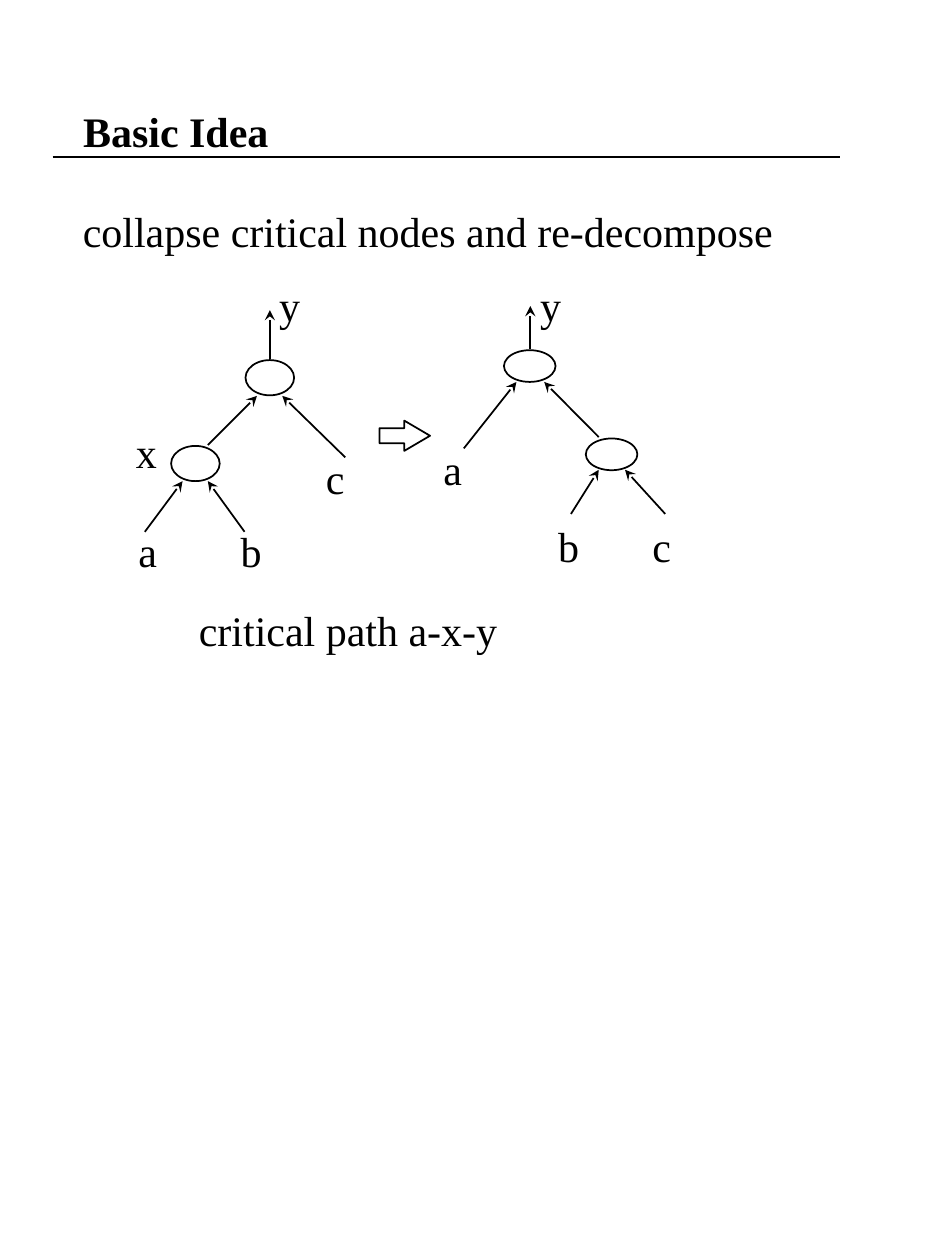
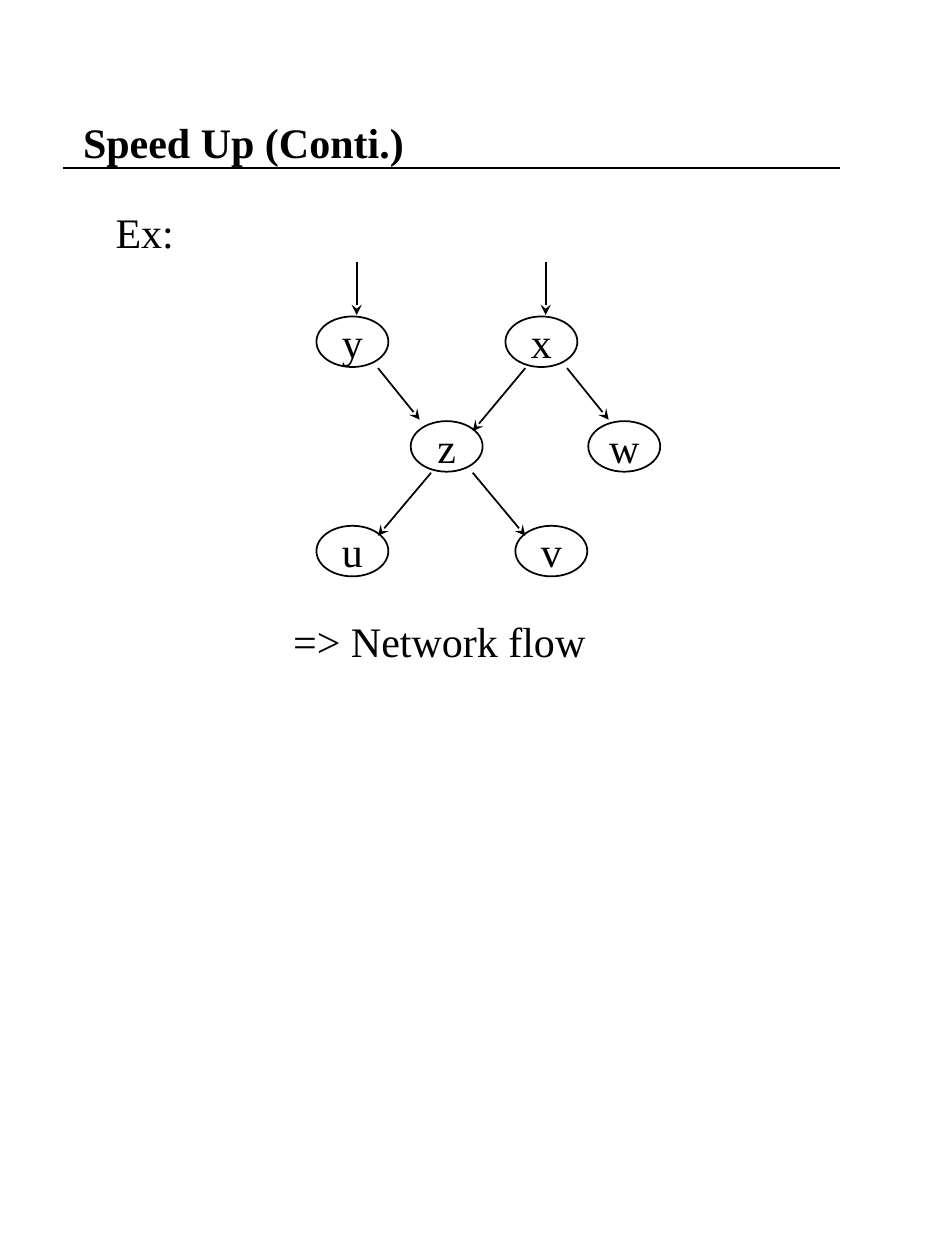
from dataclasses import dataclass

from lxml import etree
from pptx import Presentation
from pptx.dml.color import RGBColor
from pptx.enum.shapes import MSO_CONNECTOR, MSO_SHAPE
from pptx.enum.text import MSO_ANCHOR, MSO_AUTO_SIZE, PP_ALIGN
from pptx.oxml.ns import qn
from pptx.util import Cm, Pt

BLACK = RGBColor(0x00, 0x00, 0x00)
WHITE = RGBColor(0xFF, 0xFF, 0xFF)
FONT = "Times New Roman"
FONT_SIZE = Pt(24)
LINE_WIDTH = Pt(1)
HALF_OPAQUE = "50000"

ELLIPSE, RIGHT_ARROW = MSO_SHAPE.OVAL, MSO_SHAPE.RIGHT_ARROW
STRAIGHT = MSO_CONNECTOR.STRAIGHT
LEFT, CENTER = PP_ALIGN.LEFT, PP_ALIGN.CENTER
TOP, MIDDLE = MSO_ANCHOR.TOP, MSO_ANCHOR.MIDDLE
NO_AUTOSIZE = MSO_AUTO_SIZE.NONE

TITLE_LEFT, TITLE_TOP, TEXT_WIDTH = 1.42, 1.27, 16.18
RULE_RIGHT = 16.93
LABEL_WIDTH, LABEL_HEIGHT = 0.95, 1.27


# All positions and sizes below are in centimetres.
@dataclass(frozen=True)
class Node:
    left: float
    top: float
    width: float
    height: float
    text: str = ""


@dataclass(frozen=True)
class Arrow:
    x1: float
    y1: float
    x2: float
    y2: float


@dataclass(frozen=True)
class Label:
    text: str
    left: float
    top: float
    width: float = LABEL_WIDTH
    height: float = LABEL_HEIGHT
    wrap: bool = False


# Slide 1: the tree before and after re-decomposition
BEFORE_SIZE = (0.98, 0.71)
AFTER_SIZE = (1.04, 0.64)
TREE_NODES = [
    Node(4.95, 7.26, *BEFORE_SIZE),
    Node(3.45, 8.99, *BEFORE_SIZE),
    Node(10.16, 7.06, *AFTER_SIZE),
    Node(11.81, 8.84, *AFTER_SIZE),
]
TREE_ARROWS = [
    Arrow(4.19, 8.97, 5.18, 7.98),
    Arrow(6.96, 9.22, 5.69, 7.98),
    Arrow(5.44, 7.24, 5.44, 6.25),
    Arrow(2.92, 10.72, 3.68, 9.7),
    Arrow(4.93, 10.72, 4.19, 9.7),
    Arrow(10.69, 7.04, 10.69, 6.17),
    Arrow(12.07, 8.81, 10.97, 7.7),
    Arrow(9.35, 9.04, 10.41, 7.7),
    Arrow(11.51, 10.36, 12.07, 9.47),
    Arrow(13.41, 10.36, 12.6, 9.47),
]
TREE_LABELS = [
    Label("collapse critical nodes and re-decompose",
          TITLE_LEFT, 4.01, TEXT_WIDTH, 18.57, wrap=True),
    Label("a", 2.54, 10.46),
    Label("b", 4.6, 10.46),
    Label("c", 6.32, 8.99),
    Label("y", 5.38, 5.51),
    Label("x", 2.49, 8.48),
    Label("a", 8.69, 8.81),
    Label("b", 11, 10.36),
    Label("c", 12.9, 10.36),
    Label("y", 10.64, 5.51),
    Label("critical path a-x-y", 3.76, 12.07, 6.53),
]
STEP_ARROW = Node(7.65, 8.48, 1.02, 0.61)

# Slide 2: the network, with nodes in evenly spaced rows
ROW_TOP, ROW_STEP = 6.38, 2.11
NETWORK_SIZE = (1.45, 1.02)
NETWORK_ROWS = [
    [("y", 6.38), ("x", 10.19)],
    [("z", 8.28), ("w", 11.86)],
    [("u", 6.38), ("v", 10.39)],
]
NETWORK_NODES = [
    Node(left, ROW_TOP + row * ROW_STEP, *NETWORK_SIZE, text)
    for row, cells in enumerate(NETWORK_ROWS)
    for text, left in cells
]
NETWORK_ARROWS = [
    Arrow(7.19, 5.28, 7.19, 6.35),
    Arrow(11, 5.28, 11, 6.35),
    Arrow(7.62, 7.42, 8.46, 8.46),
    Arrow(10.59, 7.42, 9.53, 8.69),
    Arrow(11.43, 7.42, 12.27, 8.46),
    Arrow(8.69, 9.53, 7.62, 10.8),
    Arrow(9.53, 9.53, 10.59, 10.8),
]
NETWORK_LABELS = [
    Label("Ex:", 2.08, 4.04, 1.7),
    Label("=> Network flow", 5.66, 12.29, 6.4),
]


def write(sp, text: str, align=LEFT, anchor=TOP, bold=False, wrap=False) -> None:
    """Put one formatted line of text into a shape."""
    tf = sp.text_frame
    tf.text = text
    tf.word_wrap = wrap
    tf.auto_size = NO_AUTOSIZE
    tf.vertical_anchor = anchor
    p = tf.paragraphs[0]
    p.alignment = align
    font = p.runs[0].font
    font.name, font.size, font.bold = FONT, FONT_SIZE, bold
    font.color.rgb = BLACK


def add_line(s, line: Arrow, pointed: bool = True) -> None:
    cx = s.shapes.add_connector(
        STRAIGHT, Cm(line.x1), Cm(line.y1), Cm(line.x2), Cm(line.y2))
    cx.line.color.rgb = BLACK
    cx.line.width = LINE_WIDTH
    if pointed:
        etree.SubElement(cx.line._get_or_add_ln(), qn("a:tailEnd"), type="stealth")
    etree.SubElement(cx.element.spPr, qn("a:effectLst"))


def add_node(s, node: Node, kind=ELLIPSE):
    sp = s.shapes.add_shape(
        kind, Cm(node.left), Cm(node.top), Cm(node.width), Cm(node.height))
    sp.shadow.inherit = False
    sp.fill.solid()
    sp.fill.fore_color.rgb = WHITE
    color = sp.element.spPr.find(".//" + qn("a:srgbClr"))
    etree.SubElement(color, qn("a:alpha"), val=HALF_OPAQUE)
    sp.line.color.rgb = BLACK
    sp.line.width = LINE_WIDTH
    if node.text:
        write(sp, node.text, CENTER, MIDDLE)
    return sp


def add_label(s, label: Label) -> None:
    box = s.shapes.add_textbox(
        Cm(label.left), Cm(label.top), Cm(label.width), Cm(label.height))
    write(box, label.text, wrap=label.wrap)


def add_slide(prs, title: str, title_height: float, rule_left: float, rule_y: float):
    """Start a slide with its title and the rule under it."""
    s = prs.slides.add_slide(prs.slide_layouts.get_by_name("Title Only"))
    sp = s.shapes.title
    sp.left, sp.top = Cm(TITLE_LEFT), Cm(TITLE_TOP)
    sp.width, sp.height = Cm(TEXT_WIDTH), Cm(title_height)
    write(sp, title, anchor=MIDDLE, bold=True, wrap=True)
    add_line(s, Arrow(rule_left, rule_y, RULE_RIGHT, rule_y), pointed=False)
    return s


def add_diagram(s, nodes: list[Node], arrows: list[Arrow], labels: list[Label]) -> None:
    for node in nodes:
        add_node(s, node)
    for arrow in arrows:
        add_line(s, arrow)
    for label in labels:
        add_label(s, label)


def main() -> None:
    prs = Presentation()
    prs.slide_width, prs.slide_height = Cm(19.05), Cm(25.4)

    s = add_slide(prs, "Basic Idea", 2.74, 1.06, 3.17)
    add_diagram(s, TREE_NODES, TREE_ARROWS, TREE_LABELS)
    step = add_node(s, STEP_ARROW, RIGHT_ARROW)
    step.adjustments[0], step.adjustments[1] = 0.5, 0.85

    s = add_slide(prs, "Speed Up (Conti.)", 3.17, 1.27, 3.39)
    add_diagram(s, NETWORK_NODES, NETWORK_ARROWS, NETWORK_LABELS)

    prs.save("out.pptx")


if __name__ == "__main__":
    main()
